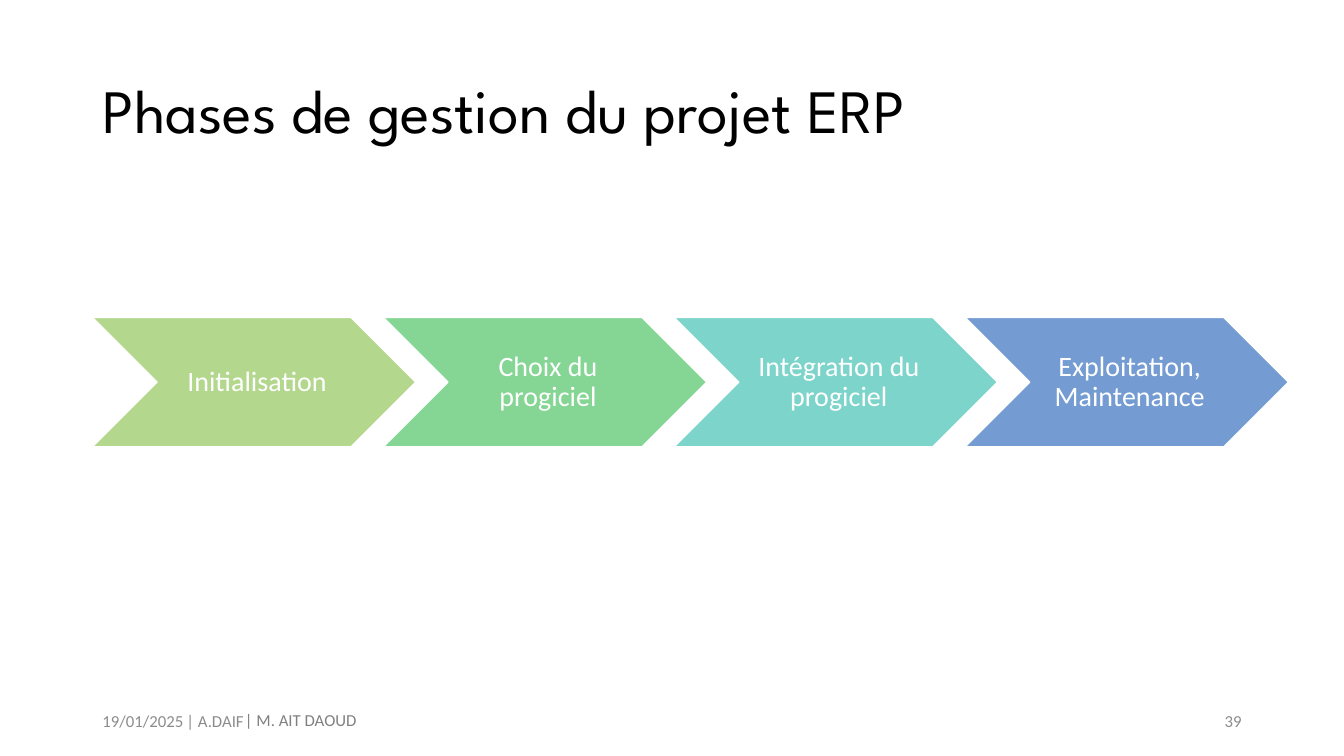
from pptx import Presentation
from pptx.dml.color import RGBColor
from pptx.enum.shapes import MSO_SHAPE
from pptx.enum.text import MSO_ANCHOR, MSO_AUTO_SIZE, PP_ALIGN
from pptx.util import Cm, Pt

CHEVRON = MSO_SHAPE.CHEVRON
MIDDLE, TOP = MSO_ANCHOR.MIDDLE, MSO_ANCHOR.TOP
LEFT, CENTER, RIGHT = PP_ALIGN.LEFT, PP_ALIGN.CENTER, PP_ALIGN.RIGHT
FIXED = MSO_AUTO_SIZE.NONE

COLORS = {
    "black": "000000",
    "white": "FFFFFF",
    "grey": "8C8C8C",
    "dark": "808080",
    "lime": "B4D78E",
    "green": "85D694",
    "teal": "7DD4CA",
    "blue": "749CD3",
}


def rgb(name):
    return RGBColor.from_string(COLORS[name])


def write(shape, text, size, color, align, anchor=MIDDLE, font="Calibri"):
    """Fill the first paragraph of a shape with one formatted run."""
    frame = shape.text_frame
    frame.word_wrap = True
    frame.auto_size = FIXED
    frame.vertical_anchor = anchor
    para = frame.paragraphs[0]
    para.alignment = align
    run = para.add_run()
    run.text = text
    run.font.name = font
    run.font.size = Pt(size)
    run.font.color.rgb = rgb(color)
    return frame


prs = Presentation()
prs.slide_width, prs.slide_height = Cm(33.87), Cm(19.05)
slide = prs.slides.add_slide(prs.slide_layouts[5])
shapes = slide.shapes
margin = 2.33

# Title
title = shapes.title
title.left, title.top = Cm(margin), Cm(1.01)
title.width, title.height = Cm(29.21), Cm(3.68)
frame = write(title, "Phases de gestion du projet ERP", 44, "black", LEFT,
              font="League Spartan")
frame.paragraphs[0].line_spacing = 0.9

# Project phases
phases = [
    ("Initialisation", "lime"),
    ("Choix du progiciel", "green"),
    ("Intégration du progiciel", "teal"),
    ("Exploitation, Maintenance", "blue"),
]
pitch = 7.33
for i, (text, color) in enumerate(phases):
    phase = shapes.add_shape(CHEVRON, Cm(margin + i * pitch), Cm(8),
                             Cm(8.15), Cm(3.26))
    phase.shadow.inherit = False
    phase.fill.solid()
    phase.fill.fore_color.rgb = rgb(color)
    phase.line.color.rgb = rgb("white")
    phase.line.width = Pt(1)
    frame = write(phase, text, 20, "white", CENTER)
    frame.margin_left = Cm(0.23)
    frame.margin_right = frame.margin_top = frame.margin_bottom = Cm(0.08)
    frame.paragraphs[0].line_spacing = 0.9

# Footer: text, left, top, width, height, color, alignment, anchor
footer = [
    ("19/01/2025", margin, 17.65, 7.62, 1.02, "grey", LEFT, MIDDLE),
    ("| A.DAIF", 4.45, 17.78, 2.18, 0.76, "grey", LEFT, TOP),
    ("| M. AIT DAOUD", 5.54, 17.75, 3.7, 0.76, "dark", RIGHT, TOP),
    ("39", 23.92, 17.65, 7.62, 1.02, "grey", RIGHT, MIDDLE),
]
for text, left, top, width, height, color, align, anchor in footer:
    box = shapes.add_textbox(Cm(left), Cm(top), Cm(width), Cm(height))
    write(box, text, 12, color, align, anchor)

prs.save("out.pptx")
